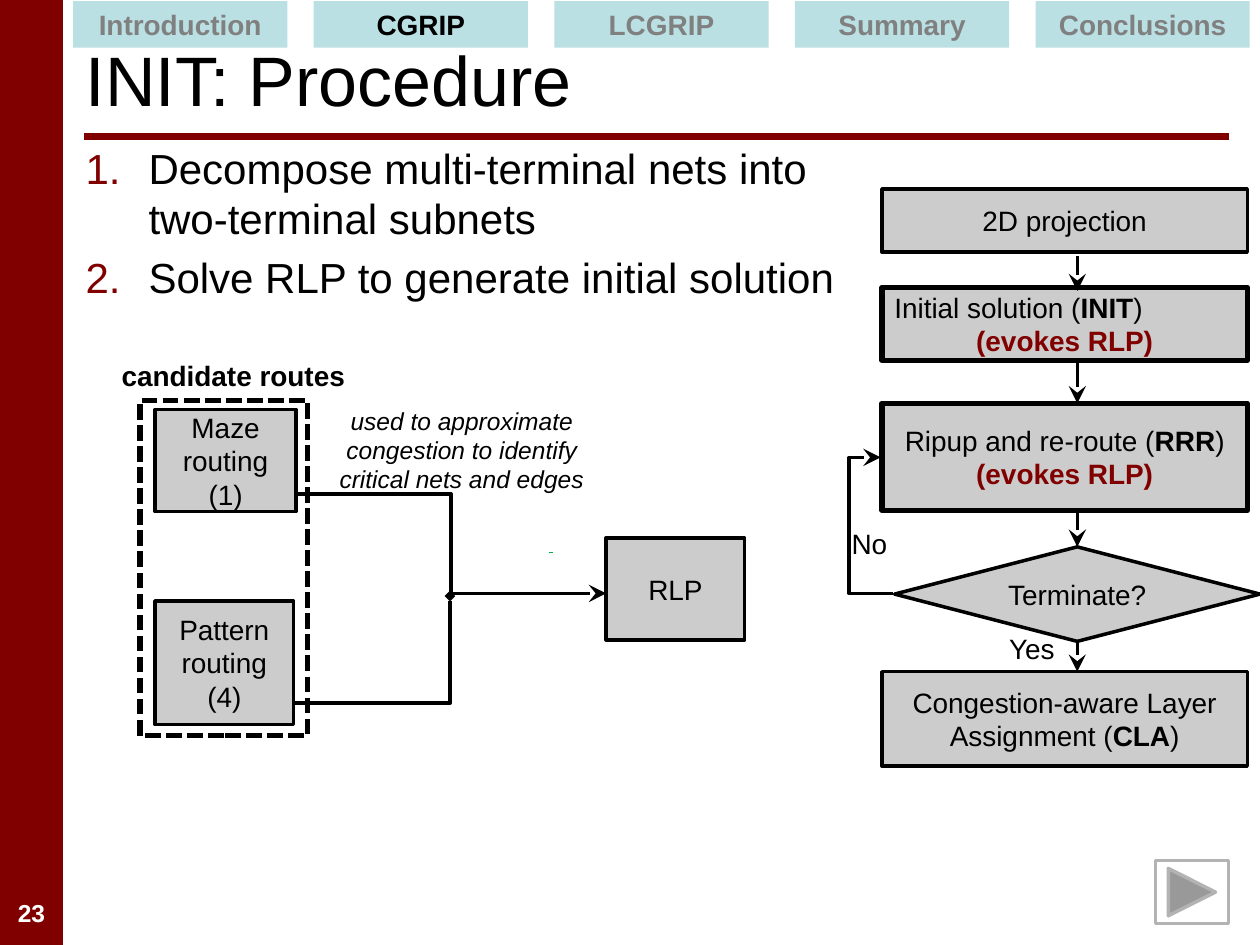
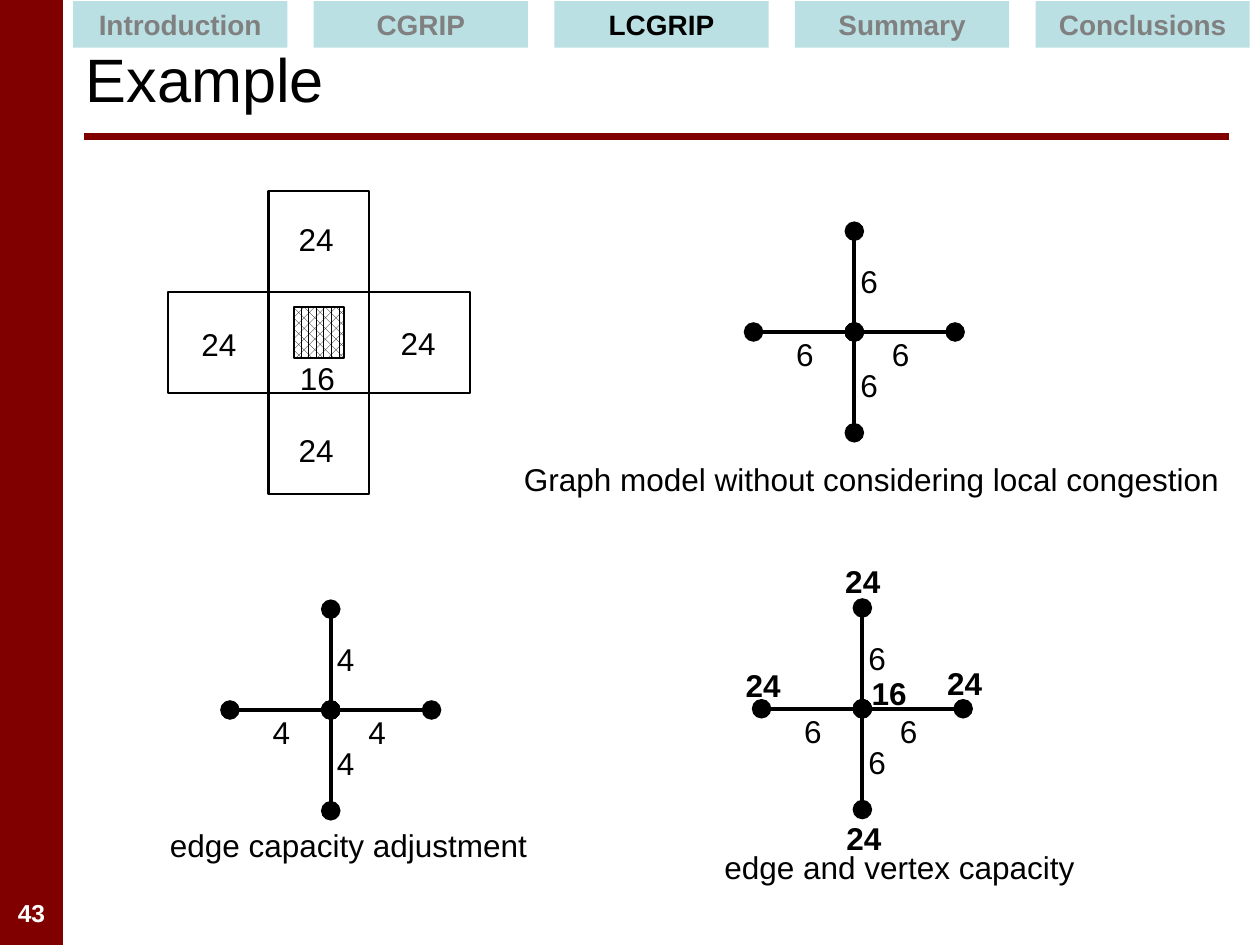
from lxml import etree
from pptx import Presentation
from pptx.dml.color import RGBColor
from pptx.enum import dml, shapes, text
from pptx.oxml import ns
from pptx.util import Pt

MAROON = RGBColor(0x80, 0, 0)
BLACK = RGBColor(0, 0, 0)
WHITE = RGBColor(255, 255, 255)
GRAY = RGBColor(0xCC, 0xCC, 0xCC)
EDGE = RGBColor(0xB3, 0xB3, 0xB3)
DIM = RGBColor(0x80, 0x80, 0x80)
TEAL = RGBColor(0xBB, 0xE0, 0xE3)
GREEN = RGBColor(0, 0xB0, 0x50)

TABS = ["Introduction", "CGRIP", "LCGRIP", "Summary", "Conclusions"]
KIND = shapes.MSO_SHAPE
MID, TOP = text.MSO_ANCHOR.MIDDLE, text.MSO_ANCHOR.TOP
LEFT, MIDDLE = text.PP_ALIGN.LEFT, text.PP_ALIGN.CENTER
BOLD = {"bold": True}
ALERT = {"bold": True, "color": MAROON}


def child(parent, tag, **attrs):
    return etree.SubElement(parent, ns.qn(tag), attrs)


def style(font, **fmt):
    color = fmt.pop("color", BLACK)
    for key, val in {"name": "Arial", **fmt}.items():
        setattr(font, key, val)
    font.color.rgb = color


def write(frame, paras, size=16, align=MIDDLE, anchor=MID, wrap=True, **fmt):
    """Each paragraph is a string or a list of (string, format) runs."""
    for key, val in {"word_wrap": wrap, "vertical_anchor": anchor,
                     "auto_size": text.MSO_AUTO_SIZE.NONE}.items():
        setattr(frame, key, val)
    for i, runs in enumerate(paras):
        para = frame.add_paragraph() if i else frame.paragraphs[0]
        para.alignment = align
        for words, extra in [(runs, {})] if isinstance(runs, str) else runs:
            run = para.add_run()
            run.text = words
            style(run.font, **{"size": Pt(size), **fmt, **extra})


def label(slide, x, y, w, h, words, align=LEFT, wrap=False, **fmt):
    box = slide.shapes.add_textbox(Pt(x), Pt(y), Pt(w), Pt(h))
    write(box.text_frame, [words], align=align, anchor=TOP, wrap=wrap, **fmt)


def block(slide, x, y, w, h, paras=(), fill=GRAY, line=BLACK, weight=2,
          kind=KIND.RECTANGLE, **fmt):
    shape = slide.shapes.add_shape(kind, Pt(x), Pt(y), Pt(w), Pt(h))
    shape.shadow.inherit = False
    if fill is None:
        shape.fill.background()
    else:
        shape.fill.solid()
        shape.fill.fore_color.rgb = fill
    if line is None:
        shape.line.fill.background()
    else:
        shape.line.color.rgb = line
        shape.line.width = Pt(weight)
    write(shape.text_frame, paras, **fmt)
    return shape


def link(slide, x1, y1, x2, y2, weight=2, color=BLACK, head=None, tail=None,
         size="lg", bend=None):
    """A straight line, or an elbow whose turn lies at the share `bend`."""
    kind = shapes.MSO_CONNECTOR
    kind = kind.STRAIGHT if bend is None else kind.ELBOW
    line = slide.shapes.add_connector(kind, Pt(x1), Pt(y1), Pt(x2), Pt(y2))
    line.line.color.rgb = color
    line.line.width = Pt(weight)
    props = line.element.spPr
    for tag, tip in (("a:headEnd", head), ("a:tailEnd", tail)):
        if tip:
            child(props.find(ns.qn("a:ln")), tag, type=tip, w=size, len=size)
    child(props, "a:effectLst")
    if bend is not None:
        guides = props.find(ns.qn("a:prstGeom")).find(ns.qn("a:avLst"))
        child(guides, "a:gd", name="adj1", fmla=f"val {round(bend * 100000)}")


def base(deck, title, size, page, active):
    """Side band, rule, page number, title and section tabs."""
    slide = deck.slides.add_slide(deck.slide_layouts[5])
    block(slide, 0, 0, 36, 540, fill=MAROON, line=None)
    link(slide, 48.2, 77.8, 702, 77.8, weight=4, color=MAROON)
    label(slide, 0, 509.8, 36, 24, page, align=MIDDLE, size=14, bold=True,
          color=WHITE)
    head = slide.shapes.title
    for key, val in dict(left=41.8, top=5.8, width=660, height=77.8).items():
        setattr(head, key, Pt(val))
    write(head.text_frame, [title], size=size, align=LEFT)
    for i, name in enumerate(TABS):
        block(slide, 41.8 + 137.5 * i, 0.7, 122.4, 26.6, [name], fill=TEAL,
              line=None, bold=True, color=BLACK if name == active else DIM)
    return slide


def steps(slide, x, y, w, h, items):
    """Numbered list."""
    box = slide.shapes.add_textbox(Pt(x), Pt(y), Pt(w), Pt(h))
    write(box.text_frame, items, size=24, align=LEFT, anchor=TOP)
    for para in box.text_frame.paragraphs:
        para.space_before = Pt(4.8)
        props = para._p.get_or_add_pPr()
        props.set("marL", str(Pt(36)))
        props.set("indent", str(-Pt(36)))
        child(child(props, "a:buClr"), "a:srgbClr", val=str(MAROON))
        child(props, "a:buFont", typeface="+mj-lt")
        child(props, "a:buAutoNum", type="arabicPeriod")


def routes(slide, x, y):
    """Candidate routes feeding the RLP."""
    label(slide, x, y, 147, 26.6, "candidate routes", align=MIDDLE,
          wrap=True, bold=True)
    for dx, dy, w, h, name in [(28.8, 32.4, 80.6, 58.3, "Maze routing (1)"),
                               (28.8, 141.8, 79.2, 70.6, "Pattern routing (4)"),
                               (286.6, 105.8, 79.2, 58.3, "RLP")]:
        block(slide, x + dx, y + dy, w, h, [name])
    frame = block(slide, x + 20.2, y + 27.4, 95.8, 191.5, fill=None, weight=3)
    frame.line.dash_style = dml.MSO_LINE.SQUARE_DOT
    label(slide, x + 120.2, y + 26.6, 167.8, 58.3,
          "used to approximate congestion to identify critical nets and edges",
          align=MIDDLE, wrap=True, size=14, italic=True)
    link(slide, x + 109.4, y + 80.6, x + 286.6, y + 137.5, tail="stealth",
         bend=0.5)
    link(slide, x + 197.3, y + 139, x + 107.3, y + 200.2, head="diamond",
         size="med", bend=0)
    link(slide, x + 254.9, y + 114.5, x + 254.9, y + 113.8, weight=2.25,
         color=GREEN)


def flow(slide, x, y, w):
    """Flow chart of the whole method."""
    evoke = [("(evokes RLP)", ALERT)]
    for dy, h, weight, paras in [
            (0, 36, 2, ["2D projection"]),
            (56.2, 41.8, 3, [[("Initial solution (", {}), ("INIT", BOLD),
                              (")", {})], evoke]),
            (122.4, 61.2, 3, [[("Ripup and re-route (", {}), ("RRR", BOLD),
                               (")", {})], evoke]),
            (275.8, 54, 2, [[("Congestion-aware Layer Assignment (", {}),
                             ("CLA", BOLD), (")", {})]])]:
        shape = block(slide, x, y + dy, w, h, paras, weight=weight)
        if dy == 56.2:
            shape.text_frame.paragraphs[0].alignment = LEFT
    block(slide, x + 7.2, y + 204.5, w, 54, ["Terminate?"], kind=KIND.DIAMOND)
    for start, end, weight in [(38.2, 58.3, 1.5), (97.9, 122.4, 1.5),
                               (184.3, 204.5, 2), (258.5, 275.8, 1.5)]:
        link(slide, x + 111.6, y + start, x + 111.6, y + end, weight,
             tail="stealth")
    link(slide, x + 6.5, y + 231.1, x - 0.7, y + 153.4, tail="stealth",
         bend=3.5)
    label(slide, x - 24.5, y + 189.4, 46.8, 26.6, "No")
    label(slide, x + 65.5, y + 249.1, 61.2, 26.6, "Yes")


def tiles(slide, x, y, side):
    """Cross of five tiles with a blocked patch in the middle one."""
    block(slide, x + side, y, side, 3 * side, fill=None, weight=1.25)
    block(slide, x, y + side, 3 * side, side, fill=None, weight=1.25)
    patch = block(slide, x + 72, y + 66.2, 28.8, 28.8, weight=1.25)
    patch.fill.patterned()
    patch.fill.pattern = dml.MSO_PATTERN.PERCENT_60
    patch.fill.fore_color.rgb = BLACK
    patch.fill.back_color.rgb = WHITE
    for dx, dy, num in [(68.4, 92.2, "16"), (12.2, 72.7, "24"),
                        (67.7, 13, "24"), (67.7, 133.2, "24"),
                        (126, 72, "24")]:
        label(slide, x + dx, y + dy, 34.6, 28.8, num, size=18)


def star(slide, x, y, arm, edge, verts=()):
    """Graph around the centre (x, y) with edge and vertex capacities."""
    for dx, dy in [(0, -1), (0, 1), (1, 0), (-1, 0)]:
        link(slide, x, y, x + dx * arm, y + dy * arm, weight=2.25,
             head="oval", tail="oval")
    for dx, dy in [(14.4, -1.8), (-40.3, -1.8), (-3.6, -43.6), (-3.6, 16.2)]:
        label(slide, x + dx, y + dy, 24.5, 28.8, edge, size=18)
    for dx, dy, num in verts:
        label(slide, x + dx, y + dy, 34.6, 28.8, num, size=18, bold=True)


def main():
    deck = Presentation()
    deck.slide_width, deck.slide_height = Pt(720), Pt(540)

    # Procedure
    slide = base(deck, "INIT: Procedure", 40, "23", "CGRIP")
    steps(slide, 41.8, 77.8, 460.8, 120,
          ["Decompose multi-terminal nets into two-terminal subnets",
           "Solve RLP to generate initial solution"])
    routes(slide, 59.8, 201.6)
    flow(slide, 504, 108, 208.8)
    block(slide, 660.2, 491.8, 41.8, 36, fill=WHITE, line=EDGE,
          kind=KIND.ACTION_BUTTON_FORWARD_OR_NEXT)

    # Example
    slide = base(deck, "Example", 35, "43", "LCGRIP")
    tiles(slide, 95.8, 109.4, 57.6)
    star(slide, 488.2, 189.7, 57.6, "6")
    star(slide, 189, 405.7, 57.6, "4")
    star(slide, 492.8, 405, 57.6, "6",
         [(-73.8, -27.7, "24"), (-16.9, -87.5, "24"), (41.4, -29.2, "24"),
          (-16.2, 59.4, "24"), (-1.8, -23.4, "16")])
    for x, y, w, words in [
            (90, 468.7, 220.3, "edge capacity adjustment"),
            (406.8, 481, 221.8, "edge and vertex capacity"),
            (292.3, 259.2, 415.4,
             "Graph model without considering local congestion")]:
        label(slide, x, y, w, 28.8, words, size=18)

    deck.save("out.pptx")


if __name__ == "__main__":
    main()
